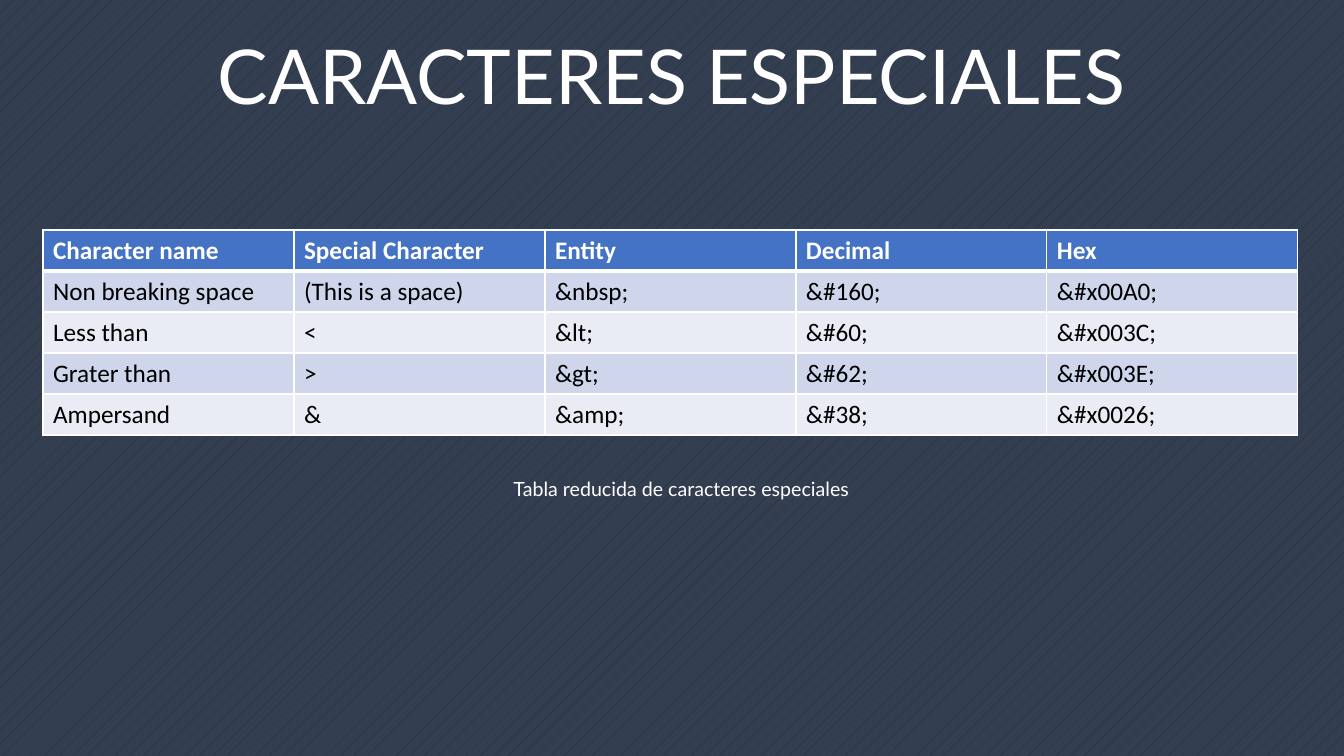
from lxml import etree
from pptx import Presentation
from pptx import util as u
from pptx.dml.color import RGBColor
from pptx.enum import dml, text
from pptx.oxml import ns

PX = 12192000 / 1344
COLORS = {
    "white": "FFFFFF",
    "black": "000000",
    "header": "4472C4",
    "band_dark": "CFD5EA",
    "band_light": "E9EBF5",
    "stripe": "222A35",
    "background": "333F50",
}
ROWS = [
    ["Character name", "Special Character", "Entity", "Decimal", "Hex"],
    ["Non breaking space", "(This is a space)", "&nbsp;", "&#160;", "&#x00A0;"],
    ["Less than", "<", "&lt;", "&#60;", "&#x003C;"],
    ["Grater than", ">", "&gt;", "&#62;", "&#x003E;"],
    ["Ampersand", "&", "&amp;", "&#38;", "&#x0026;"],
]
COLUMN_WIDTH = 251
ROW_HEIGHT = 41


def px(*lengths):
    return [u.Emu(round(length * PX)) for length in lengths]


def write(frame, words, size, font="Lato", color="white", bold=False, align=text.PP_ALIGN.CENTER):
    paragraph = frame.paragraphs[0]
    paragraph.alignment = align
    run = paragraph.add_run()
    run.text = words
    run.font.name = font
    run.font.size = u.Pt(size)
    run.font.bold = bold
    run.font.color.rgb = RGBColor.from_string(COLORS[color])


presentation = Presentation()
presentation.slide_width, presentation.slide_height = px(1344, 756)
slide = presentation.slides.add_slide(presentation.slide_layouts[5])

background = slide.background.fill
background.patterned()
background.pattern = dml.MSO_PATTERN.PERCENT_5
background.fore_color.rgb = RGBColor.from_string(COLORS["stripe"])
background.back_color.rgb = RGBColor.from_string(COLORS["background"])

title = slide.shapes.title
title.left, title.top, title.width, title.height = px(55, 24, 1233, 102)
caption = slide.shapes.add_textbox(*px(65, 472, 1233, 34))
for shape, words, size in [
    (title, "CARACTERES ESPECIALES", 54),
    (caption, "Tabla reducida de caracteres especiales", 14),
]:
    frame = shape.text_frame
    frame.word_wrap = True
    frame.auto_size = text.MSO_AUTO_SIZE.SHAPE_TO_FIT_TEXT
    frame.vertical_anchor = text.MSO_ANCHOR.TOP
    write(frame, words, size)

table = slide.shapes.add_table(
    len(ROWS), len(ROWS[0]),
    *px(43, 230, COLUMN_WIDTH * len(ROWS[0]), ROW_HEIGHT * len(ROWS)),
).table
for column in table.columns:
    column.width = px(COLUMN_WIDTH)[0]
for row_index, row in enumerate(ROWS):
    table.rows[row_index].height = px(ROW_HEIGHT)[0]
    is_header = row_index == 0
    fill = "header" if is_header else "band_dark" if row_index % 2 else "band_light"
    for column_index, words in enumerate(row):
        cell = table.cell(row_index, column_index)
        write(cell.text_frame, words, 18, font="Calibri", bold=is_header,
              color="white" if is_header else "black", align=text.PP_ALIGN.LEFT)
        cell.fill.solid()
        cell.fill.fore_color.rgb = RGBColor.from_string(COLORS[fill])
        properties = cell._tc.get_or_add_tcPr()
        for position, side in enumerate("LRTB"):
            is_thick = (row_index, side) in [(0, "B"), (1, "T")]
            border = etree.Element(ns.qn(f"a:ln{side}"), w=str(u.Pt(3 if is_thick else 1)))
            line_fill = etree.SubElement(border, ns.qn("a:solidFill"))
            etree.SubElement(line_fill, ns.qn("a:srgbClr"), val=COLORS["white"])
            properties.insert(position, border)

presentation.save("out.pptx")
